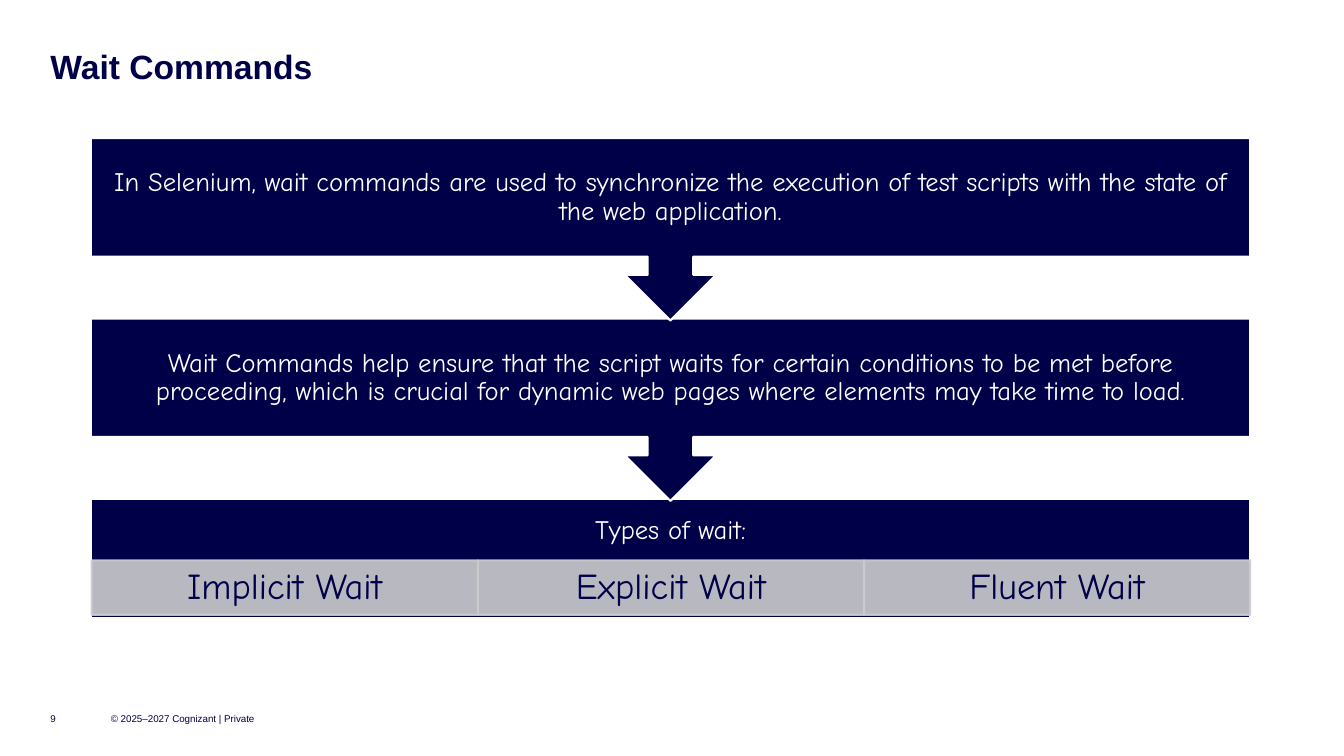
from pptx import Presentation
from pptx.dml.color import RGBColor
from pptx.enum.shapes import MSO_SHAPE as Shape
from pptx.enum.text import MSO_ANCHOR as Anchor, PP_ALIGN as Align
from pptx.oxml.ns import qn
from pptx.util import Inches, Pt
from lxml.etree import SubElement

NAVY, WHITE, GREY = "000048", "FFFFFF", "CCCCCF"
LEFT, WIDTH = 0.9, 11.5
STEP_TOP, STEP_PITCH, STEP_HEIGHT = 1.37, 1.79, 1.81
TYPES_HEIGHT, TYPE_TOP, TYPE_WIDTH = 1.18, 5.56, 3.83

STEPS = [
    "In Selenium, wait commands are used to synchronize the execution of test scripts "
    "with the state of the web application.",
    "Wait Commands help ensure that the script waits for certain conditions to be met before "
    "proceeding, which is crucial for dynamic web pages where elements may take time to load.",
]
WAIT_TYPES = ["Implicit Wait", "Explicit Wait", "Fluent Wait"]


def paint(color_format, color):
    """Set a colour from a hex string."""
    color_format.rgb = RGBColor.from_string(color)


def write(frame, text, size, color, font, insets=(0, 0, 0, 0), anchor=Anchor.MIDDLE,
          align=Align.LEFT, spacing=1.0, bold=False):
    """Fill a text frame with one styled paragraph."""
    frame.word_wrap = True
    frame.vertical_anchor = anchor
    (frame.margin_left, frame.margin_top,
     frame.margin_right, frame.margin_bottom) = map(Inches, insets)
    paragraph = frame.paragraphs[0]
    paragraph.text = text
    paragraph.alignment = align
    paragraph.line_spacing = spacing
    paragraph.font.name = font
    paragraph.font.size = Pt(size)
    paragraph.font.bold = bold
    paint(paragraph.font.color, color)


def add_label(slide, text, box, size, **style):
    """Add a navy Arial label."""
    label = slide.shapes.add_textbox(*map(Inches, box))
    write(label.text_frame, text, size, NAVY, "Arial", **style)


def add_block(slide, preset, box, text, insets, size=19, fill=NAVY, line=WHITE, color=WHITE):
    """Add a filled block with centred text."""
    block = slide.shapes.add_shape(preset, *map(Inches, box))
    block.shadow.inherit = False
    block.fill.solid()
    paint(block.fill.fore_color, fill)
    paint(block.line.color, line)
    block.line.width = Pt(1.5)
    write(block.text_frame, text, size, color, "Comic Neue", insets,
          align=Align.CENTER, spacing=0.9)
    return block


def set_opacity(block, percent):
    """Make the fill and line of a block partly transparent."""
    for color in block._element.spPr.iter(qn("a:srgbClr")):
        SubElement(color, qn("a:alpha"), val=str(percent * 1000))


def add_wait_types(slide):
    """Add the closing block with its row of wait types."""
    top = STEP_TOP + len(STEPS) * STEP_PITCH
    add_block(slide, Shape.RECTANGLE, (LEFT, top, WIDTH, TYPES_HEIGHT),
              "Types of wait:", (0.15, 0.15, 0.15, 0.7))
    for column, wait_type in enumerate(WAIT_TYPES):
        box = (LEFT + 0.01 + column * TYPE_WIDTH, TYPE_TOP, TYPE_WIDTH, 0.54)
        cell = add_block(slide, Shape.RECTANGLE, box, wait_type, (0.2, 0.04, 0.2, 0.04),
                         size=26, fill=GREY, line=GREY, color=NAVY)
        set_opacity(cell, 90)


def add_steps(slide):
    """Add the arrow callouts from the lowest to the topmost."""
    for index, step in reversed(list(enumerate(STEPS))):
        box = (LEFT, STEP_TOP + index * STEP_PITCH, WIDTH, STEP_HEIGHT)
        add_block(slide, Shape.DOWN_ARROW_CALLOUT, box, step, (0.15,) * 4)


def main():
    """Build the slide on wait commands."""
    deck = Presentation()
    deck.slide_width, deck.slide_height = Inches(13.33), Inches(7.5)
    slide = deck.slides.add_slide(deck.slide_layouts[6])
    add_label(slide, "Wait Commands", (0.5, 0.5, 12.33, 0.36), 24,
              anchor=Anchor.TOP, spacing=0.9, bold=True)
    add_label(slide, "© 2025–2027 Cognizant | Private", (1.1, 7, 1.5, 0.25), 7)
    add_label(slide, "9", (0.5, 7, 0.4, 0.25), 7)
    add_wait_types(slide)
    add_steps(slide)
    deck.save("out.pptx")


if __name__ == "__main__":
    main()
